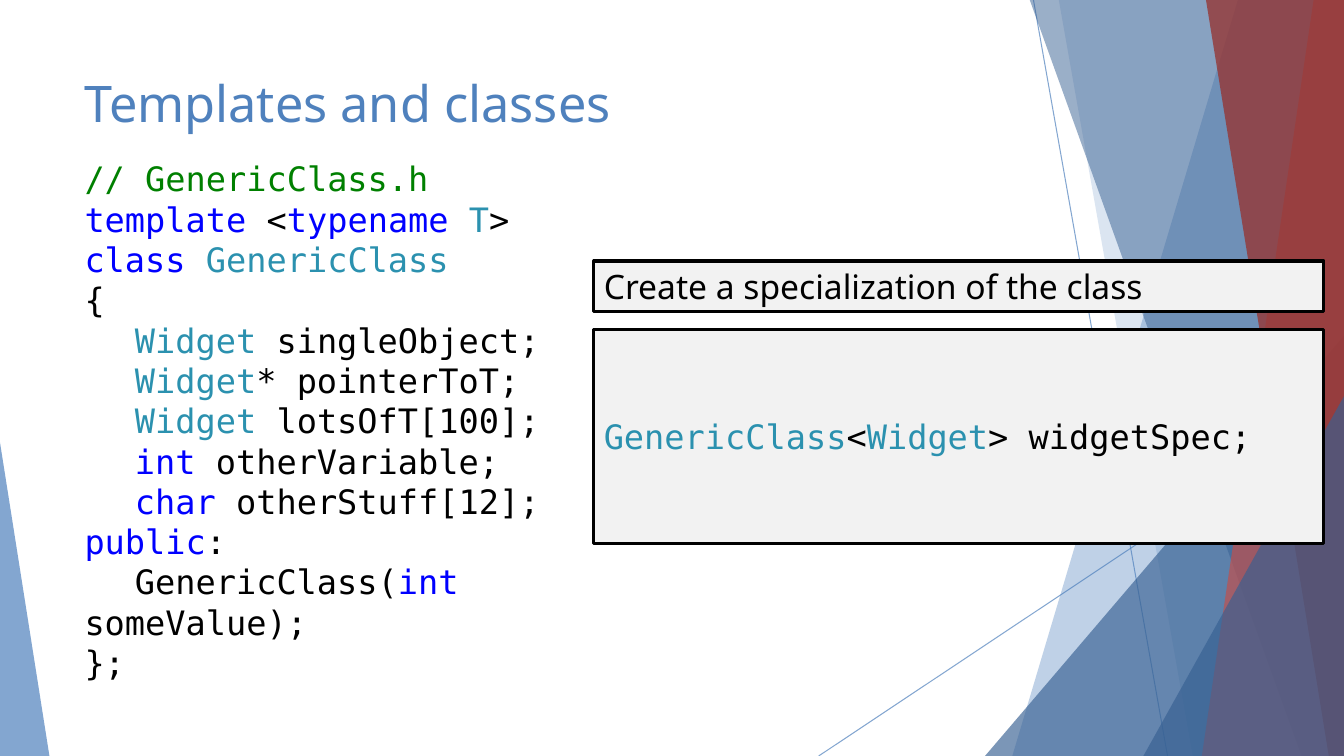
import pptx
import pptx.util
import pptx.dml.color
import pptx.enum.shapes
import pptx.enum.text
import pptx.oxml.ns
from dataclasses import dataclass

Inches = pptx.util.Inches
Pt = pptx.util.Pt
SHAPE = pptx.enum.shapes.MSO_SHAPE
ANCHOR = pptx.enum.text.MSO_ANCHOR
qn = pptx.oxml.ns.qn


@dataclass(frozen=True)
class Theme:
    blue: str = "4F81BD"
    navy: str = "376092"
    red: str = "C0504D"
    wine: str = "953735"
    pale: str = "F2F2F2"
    black: str = "000000"
    note: str = "008000"
    key: str = "0000FF"
    kind: str = "2B91AF"
    sans: str = "Noto Sans"
    mono: str = "DejaVu Sans Mono"
    head: int = 36
    body: int = 24
    lead: float = 28.8
    tab: float = 0.5


THEME = Theme()
WIDE, HIGH, TOP = 13.33, 7.5, -0.01

BANDS = [
    (12.28, 10.04, THEME.blue, 36),
    (10.5, 11.83, THEME.blue, 20),
    (10.21, 12.91, THEME.navy, 50),
    (13.03, 11.92, THEME.red, 70),
    (11.96, 13.18, THEME.wine, 80),
]

CODE = [
    [("// GenericClass.h", "note")],
    [("template ", "key"), ("<", "black"), ("typename ", "key"), ("T", "kind"), (">", "black")],
    [("class ", "key"), ("GenericClass", "kind")],
    [("{", "black")],
    [("\tWidget ", "kind"), ("singleObject;", "black")],
    [("\tWidget", "kind"), ("* pointerToT;", "black")],
    [("\tWidget ", "kind"), ("lotsOfT[100];", "black")],
    [("\tint ", "key"), ("otherVariable;", "black")],
    [("\tchar ", "key"), ("otherStuff[12];", "black")],
    [("public", "key"), (":", "black")],
    [("\tGenericClass(", "black"), ("int ", "key"), ("someValue);", "black")],
    [("};", "black")],
]
USE = [[("GenericClass", "kind"), ("<", "black"), ("Widget", "kind"), ("> widgetSpec;", "black")]]


def rgb(code):
    return pptx.dml.color.RGBColor.from_string(code)


def fade(shape, alpha):
    tint = next(shape._element.spPr.iter(qn("a:solidFill")))[0]
    tint.append(tint.makeelement(qn("a:alpha"), {"val": str(alpha * 1000)}))


def paint(shape, color, alpha=100):
    shape.shadow.inherit = False
    shape.fill.solid()
    shape.fill.fore_color.rgb = rgb(color)
    shape.line.fill.background()
    if alpha < 100:
        fade(shape, alpha)


def band(slide, top, base, color, alpha):
    pen = slide.shapes.build_freeform(Inches(top), Inches(TOP))
    ends = [(WIDE, TOP), (WIDE, HIGH), (base, HIGH)]
    pen.add_line_segments([(Inches(x), Inches(y)) for x, y in ends], close=True)
    paint(pen.convert_to_shape(), color, alpha)


def wedge(slide, left, top, width, apex, color, alpha):
    box = map(Inches, (left, top, width, HIGH - top))
    shape = slide.shapes.add_shape(SHAPE.ISOSCELES_TRIANGLE, *box)
    shape.adjustments[0] = apex
    paint(shape, color, alpha)


def ray(slide, *ends):
    kind = pptx.enum.shapes.MSO_CONNECTOR.STRAIGHT
    line = slide.shapes.add_connector(kind, *map(Inches, ends))
    line.line.color.rgb = rgb(THEME.blue)
    line.line.width = Pt(0.75)
    fade(line, 70)
    props = line._element.spPr
    props.append(props.makeelement(qn("a:effectLst"), {}))


def indent(para):
    props = para._p.get_or_add_pPr()
    stops = props.makeelement(qn("a:tabLst"), {})
    stop = {"pos": str(Inches(THEME.tab)), "algn": "l"}
    stops.append(props.makeelement(qn("a:tab"), stop))
    props.append(stops)


def write(shape, lines, font=THEME.mono, size=THEME.body, anchor=ANCHOR.TOP, lead=None):
    frame = shape.text_frame
    frame.word_wrap = True
    frame.vertical_anchor = anchor
    for i, parts in enumerate(lines):
        para = frame.add_paragraph() if i else frame.paragraphs[0]
        para.alignment = pptx.enum.text.PP_ALIGN.LEFT
        if lead:
            para.line_spacing = Pt(lead)
        if parts[0][0].startswith("\t"):
            indent(para)
        for text, role in parts:
            run = para.add_run()
            run.text = text
            run.font.name = font
            run.font.size = Pt(size)
            run.font.color.rgb = rgb(getattr(THEME, role))


def label(slide, box, lines, **style):
    write(slide.shapes.add_textbox(*map(Inches, box)), lines, **style)


def panel(slide, top, height, lines, **style):
    box = map(Inches, (5.89, top, 7.24, height))
    shape = slide.shapes.add_shape(SHAPE.RECTANGLE, *box)
    paint(shape, THEME.pale)
    shape.line.color.rgb = rgb(THEME.black)
    shape.line.width = Pt(2.25)
    write(shape, lines, anchor=ANCHOR.MIDDLE, **style)


def facets(slide):
    ray(slide, 10.25, 0, 11.58, HIGH)
    ray(slide, WIDE, 4.03, 8.12, HIGH)
    for item in BANDS[:2]:
        band(slide, *item)
    wedge(slide, 9.77, 3.33, 3.56, 1, THEME.navy, 66)
    for item in BANDS[2:]:
        band(slide, *item)
    wedge(slide, 11.34, 3.93, 1.99, 1, THEME.navy, 66)
    wedge(slide, 0, 4.39, 0.49, 0, THEME.blue, 70)


def main():
    """Build the slide on templates and classes."""
    deck = pptx.Presentation()
    deck.slide_width, deck.slide_height = Inches(WIDE), Inches(HIGH)
    slide = deck.slides.add_slide(deck.slide_layouts[6])
    facets(slide)
    title = [[("Templates and classes", "blue")]]
    label(slide, (0.74, 0.67, 9.4, 0.85), title, font=THEME.sans, size=THEME.head)
    label(slide, (0.74, 1.52, 5.94, 4.95), CODE, lead=THEME.lead)
    panel(slide, 3.27, 2.12, USE)
    claim = [[("Create a specialization of the class", "black")]]
    panel(slide, 2.59, 0.5, claim, font=THEME.sans)
    deck.save("out.pptx")


if __name__ == "__main__":
    main()
